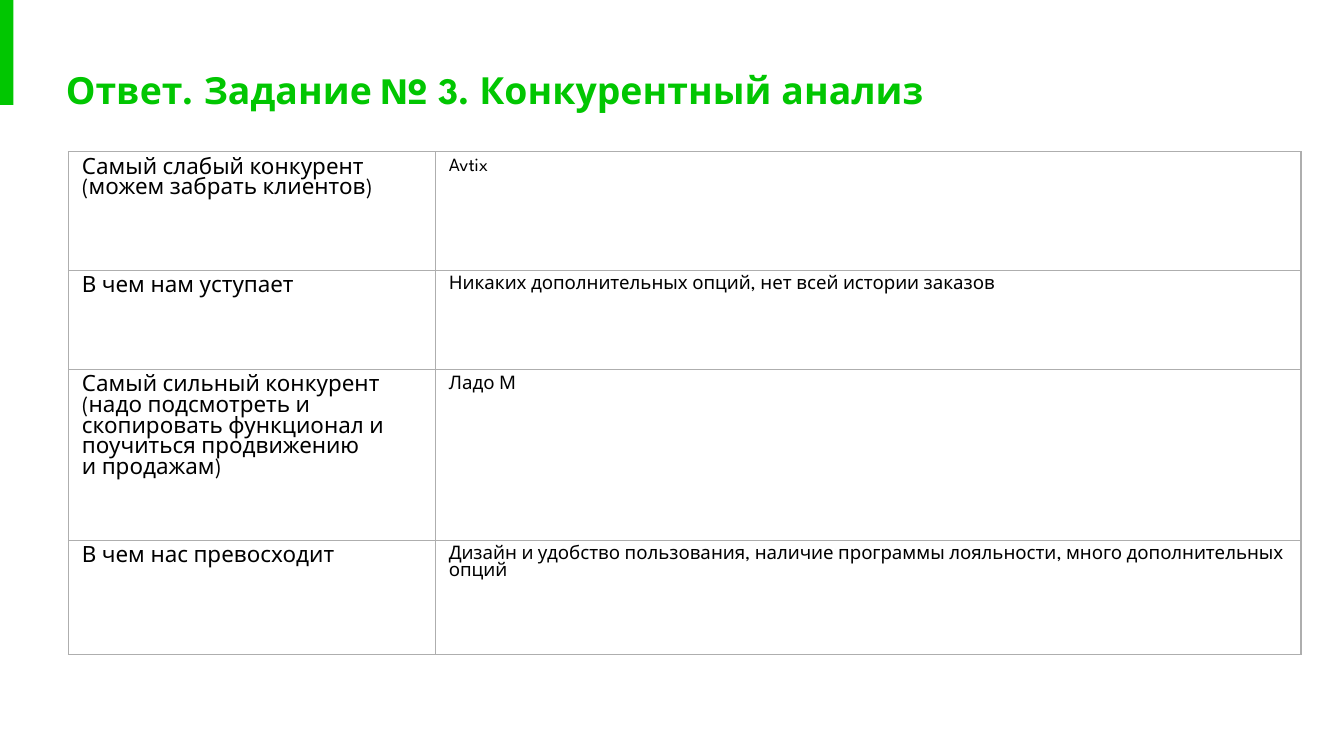
import pptx
import pptx.util
import pptx.dml.color
import pptx.enum.shapes
import pptx.enum.text
import pptx.oxml
import pptx.oxml.ns
from pptx.util import Inches

FONT = "League Spartan"
GREEN, GREY, BLACK = "01C601", "AEAEAE", "000000"


def color(code):
    return pptx.dml.color.RGBColor.from_string(code)


def write(frame, text, size=12, fill=BLACK, bold=False):
    frame.word_wrap = True
    para = frame.paragraphs[0]
    para.text = text
    para.alignment = pptx.enum.text.PP_ALIGN.LEFT
    for run in para.runs:
        run.font.name = FONT
        run.font.size = pptx.util.Pt(size)
        run.font.bold = bold
        run.font.color.rgb = color(fill)


# Widescreen slide, 16 to 9
deck = pptx.Presentation()
deck.slide_width = Inches(10)
deck.slide_height = Inches(10) * 9 // 16
slide = deck.slides.add_slide(deck.slide_layouts[5])

# Green corner bar
bar = slide.shapes.add_shape(
    pptx.enum.shapes.MSO_SHAPE.RECTANGLE, 0, 0, Inches(0.1), Inches(0.78))
bar.shadow.inherit = False
bar.fill.solid()
bar.fill.fore_color.rgb = color(GREEN)
bar.line.fill.background()

# Title
title = slide.shapes.title
title.left, title.top = Inches(0.39), Inches(0.4)
title.width, title.height = Inches(7), Inches(0.54)
frame = title.text_frame
frame.margin_left = frame.margin_right = Inches(0.1)
frame.margin_top = frame.margin_bottom = Inches(0.1)
frame.vertical_anchor = pptx.enum.text.MSO_ANCHOR.MIDDLE
frame.auto_size = pptx.enum.text.MSO_AUTO_SIZE.SHAPE_TO_FIT_TEXT
write(frame, "Ответ. Задание № 3. Конкурентный анализ", size=20, fill=GREEN, bold=True)

# Table: row height, question, answer
rows = [
    (0.88, "Самый слабый конкурент \n(можем забрать клиентов)", "Avtix"),
    (0.74, "В чем нам уступает",
     "Никаких дополнительных опций, нет всей истории заказов"),
    (1.27, "Самый сильный конкурент \n(надо подсмотреть и скопировать функционал "
           "и поучиться продвижению \nи продажам)", "Ладо М"),
    (0.85, "В чем нас превосходит",
     "Дизайн и удобство пользования, наличие программы лояльности, "
     "много дополнительных опций"),
]
widths = [2.73, 6.44]
table = slide.shapes.add_table(
    len(rows), len(widths), Inches(0.51), Inches(1.13),
    Inches(sum(widths)), Inches(sum(row[0] for row in rows))).table
table.first_row = table.horz_banding = False
for col, width in zip(table.columns, widths):
    col.width = Inches(width)

for r, (height, *texts) in enumerate(rows):
    table.rows[r].height = Inches(height)
    for c, (text, size) in enumerate(zip(texts, (12, 10))):
        cell = table.cell(r, c)
        cell.margin_left = cell.margin_right = Inches(0.1)
        cell.margin_top = cell.margin_bottom = Inches(0.05)
        write(cell.text_frame, text, size=size)
        # Borders come before the fill in the cell properties
        props = cell._tc.get_or_add_tcPr()
        for side in ("lnL", "lnR", "lnT", "lnB"):
            props.append(pptx.oxml.parse_xml(
                f'<a:{side} {pptx.oxml.ns.nsdecls("a")} w="{pptx.util.Pt(0.75)}">'
                f'<a:solidFill><a:srgbClr val="{GREY}"/></a:solidFill></a:{side}>'))
        cell.fill.background()

deck.save("out.pptx")
